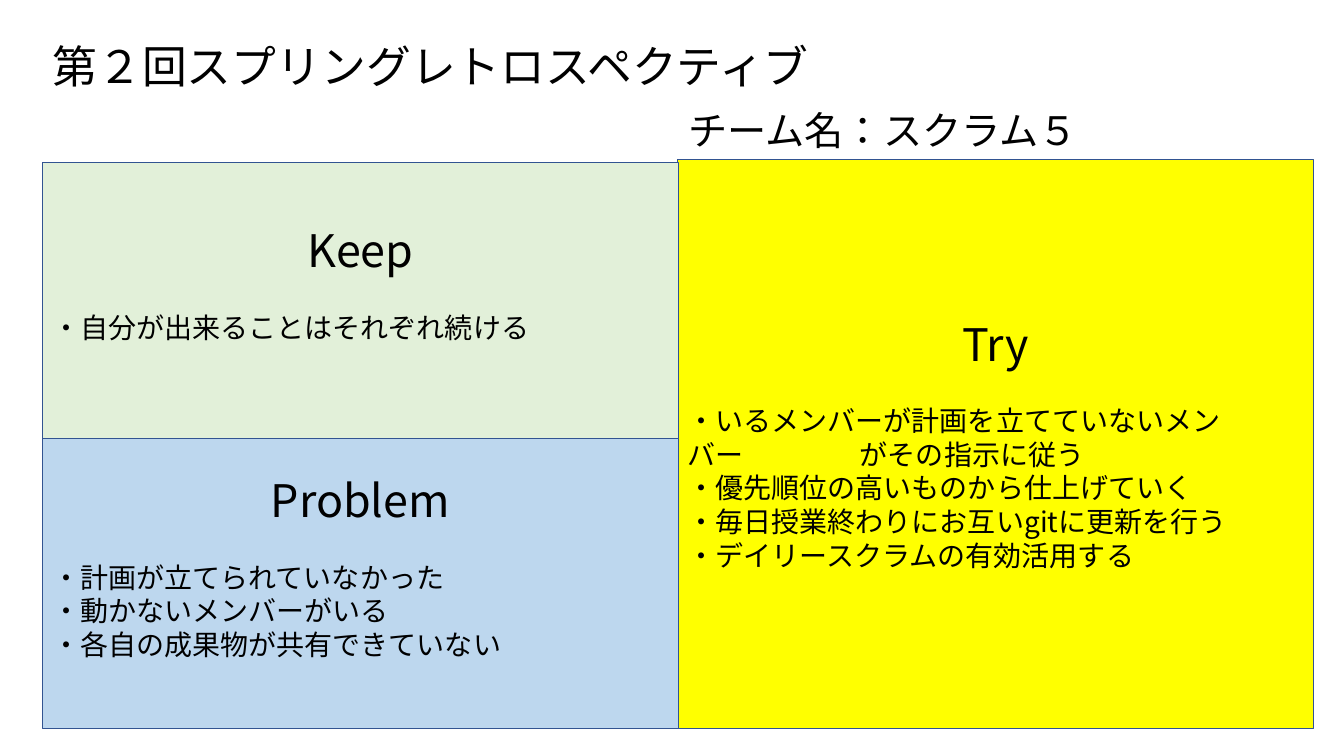
"""Build the Keep / Problem / Try board of a sprint retrospective."""
from lxml import etree
from pptx import Presentation
from pptx.dml.color import RGBColor
from pptx.enum.lang import MSO_LANGUAGE_ID
from pptx.enum.shapes import MSO_SHAPE
from pptx.enum.text import MSO_ANCHOR, PP_ALIGN
from pptx.oxml.ns import qn
from pptx.util import Inches, Pt

RECTANGLE = MSO_SHAPE.RECTANGLE
MIDDLE, TOP = MSO_ANCHOR.MIDDLE, MSO_ANCHOR.TOP
LEFT, CENTER = PP_ALIGN.LEFT, PP_ALIGN.CENTER
JAPANESE = MSO_LANGUAGE_ID.JAPANESE
BLACK = RGBColor(0x00, 0x00, 0x00)
BORDER = RGBColor(0x32, 0x54, 0x91)
GREEN = RGBColor(0xE2, 0xF0, 0xD9)
BLUE = RGBColor(0xBD, 0xD7, 0xEE)
YELLOW = RGBColor(0xFF, 0xFF, 0x00)
FONT = "Noto Sans CJK JP"

TITLE = "第２回スプリングレトロスペクティブ"
TEAM = "チーム名：スクラム５"
KEEP = ["・自分が出来ることはそれぞれ続ける"]
PROBLEM = [
    "・計画が立てられていなかった",
    "・動かないメンバーがいる",
    "・各自の成果物が共有できていない",
]
TRY = [
    "・いるメンバーが計画を立てていないメン\nバー\tがその指示に従う",
    "・優先順位の高いものから仕上げていく",
    "・毎日授業終わりにお互いgitに更新を行う",
    "・デイリースクラムの有効活用する",
]

MARGIN, COLUMN = 0.42, 6.31
MIDDLE_X = MARGIN + COLUMN
KEEP_TOP, PROBLEM_TOP, TRY_TOP, BOTTOM = 1.61, 4.35, 1.58, 7.23
TITLE_BOX = (MARGIN, 0.27, 12.48, 0.82)
TEAM_BOX = (MIDDLE_X, 1.01, 6.29, 0.57)
BLANK_LINE = 24
TAB_STOP = 1.71

PANELS = [
    ("Try", TRY, YELLOW, MIDDLE_X - 0.01, TRY_TOP, BOTTOM, 0),
    ("Keep", KEEP, GREEN, MARGIN, KEEP_TOP, PROBLEM_TOP, BLANK_LINE),
    ("Problem", PROBLEM, BLUE, MARGIN, PROBLEM_TOP, BOTTOM, BLANK_LINE),
]


def write(paragraph, text, size, **layout):
    for name, value in layout.items():
        setattr(paragraph, name, value)
    for number, line in enumerate(text.split("\n")):
        if number:
            paragraph.add_line_break()
        run = paragraph.add_run()
        run.text = line
        run.font.color.rgb = BLACK
        formats = {"size": Pt(size), "name": FONT, "language_id": JAPANESE}
        for name, value in formats.items():
            setattr(run.font, name, value)
        etree.SubElement(run.font._element, qn("a:ea"), typeface=FONT)


def add_tab_stop(paragraph, inches):
    stops = etree.SubElement(paragraph._p.get_or_add_pPr(), qn("a:tabLst"))
    etree.SubElement(stops, qn("a:tab"), pos=str(Inches(inches)), algn="l")


def add_panel(slide, heading, items, fill, left, top, bottom, space_below):
    box = map(Inches, (left, top, COLUMN, bottom - top))
    shape = slide.shapes.add_shape(RECTANGLE, *box)
    shape.shadow.inherit = False
    shape.fill.solid()
    shape.fill.fore_color.rgb = fill
    shape.line.color.rgb = BORDER
    shape.line.width = Pt(1)
    frame = shape.text_frame
    frame.word_wrap = True
    frame.vertical_anchor = MIDDLE
    frame.margin_bottom = Inches(0.05) + Pt(space_below)
    write(frame.paragraphs[0], heading, 32, alignment=CENTER, space_after=Pt(BLANK_LINE))
    for item in items:
        paragraph = frame.add_paragraph()
        write(paragraph, item, 20, alignment=LEFT)
        if "\t" in item:
            add_tab_stop(paragraph, TAB_STOP)


presentation = Presentation()
presentation.slide_width, presentation.slide_height = Inches(13.33), Inches(7.5)
slide = presentation.slides.add_slide(presentation.slide_layouts[5])

title = slide.shapes.title
for name, value in zip(("left", "top", "width", "height"), TITLE_BOX):
    setattr(title, name, Inches(value))
title.text_frame.vertical_anchor = MIDDLE
write(title.text_frame.paragraphs[0], TITLE, 32, alignment=LEFT, line_spacing=0.9)

for panel in PANELS:
    add_panel(slide, *panel)

team = slide.shapes.add_textbox(*map(Inches, TEAM_BOX))
team.text_frame.word_wrap = True
team.text_frame.vertical_anchor = TOP
write(team.text_frame.paragraphs[0], TEAM, 28, alignment=LEFT)

presentation.save("out.pptx")
